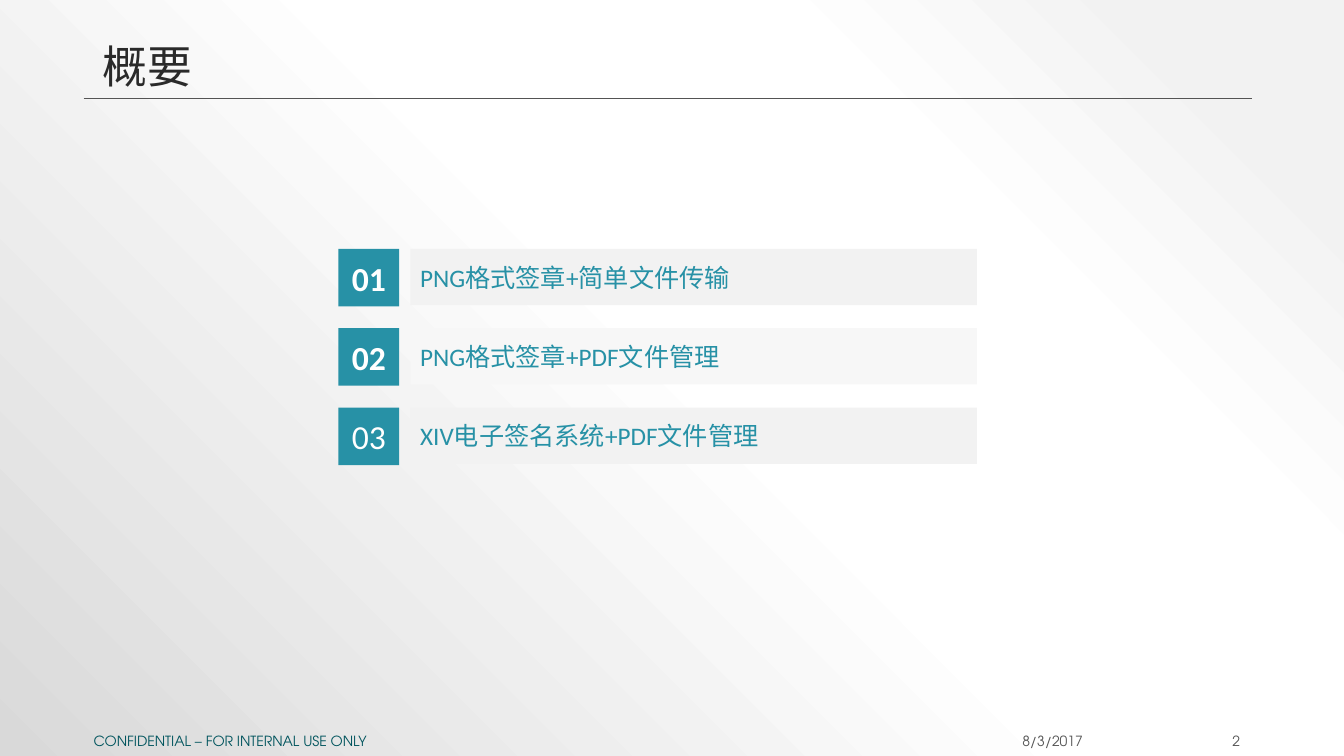
from collections import namedtuple
from dataclasses import dataclass

from pptx import Presentation
from pptx.dml.color import RGBColor
from pptx.enum.shapes import MSO_CONNECTOR, MSO_SHAPE
from pptx.enum.text import MSO_ANCHOR as Anchor, PP_ALIGN as Align
from pptx.oxml import parse_xml
from pptx.oxml.ns import nsdecls, qn
from pptx.util import Cm, Pt

Box = namedtuple("Box", "left top width height")


@dataclass(frozen=True)
class Theme:
    ink: str = "2A2A2A"
    grey: str = "545454"
    teal: str = "2791A6"
    deep_teal: str = "00545D"
    white: str = "FFFFFF"
    bar: str = "F2F2F2"
    pale_bar: str = "F7F7F7"
    backdrop: tuple = ((10, "F2F2F2"), (28, "FFFFFF"), (48, "FFFFFF"), (100, "D9D9D9"))
    body_font: str = "Calibri"
    footer_font: str = "TeX Gyre Adventor"
    title_size: int = 32
    number_size: int = 24
    item_size: int = 18
    footer_size: int = 10


THEME = Theme()

# Number, text, bar colour, bold number
AGENDA = [
    ("01", "PNG格式签章+简单文件传输", THEME.bar, True),
    ("02", "PNG格式签章+PDF文件管理", THEME.pale_bar, True),
    ("03", "XIV电子签名系统+PDF文件管理", THEME.bar, False),
]


def place(box):
    return [Cm(length) for length in box]


def write(shape, text, color, size, font=THEME.body_font, bold=False,
          align=Align.LEFT, anchor=Anchor.MIDDLE, wrap=True, spacing=1.0):
    frame = shape.text_frame
    frame.word_wrap = wrap
    frame.vertical_anchor = anchor
    para = frame.paragraphs[0]
    para.alignment = align
    para.line_spacing = spacing
    span = para.add_run()
    span.text = text
    for name, value in {"name": font, "size": Pt(size), "bold": bold}.items():
        setattr(span.font, name, value)
    span.font.color.rgb = RGBColor.from_string(color)


def add_label(page, box, text, color, size, **formats):
    write(page.shapes.add_textbox(*place(box)), text, color, size, **formats)


def add_block(page, box, fill, text, color, size, **formats):
    block = page.shapes.add_shape(MSO_SHAPE.RECTANGLE, *place(box))
    block.shadow.inherit = False
    block.fill.solid()
    block.fill.fore_color.rgb = RGBColor.from_string(fill)
    block.line.fill.background()
    write(block, text, color, size, **formats)


def paint_background(page):
    """Radial gradient centred on the top right corner."""
    stops = "".join(
        f'<a:gs pos="{percent * 1000}"><a:srgbClr val="{color}"/></a:gs>'
        for percent, color in THEME.backdrop)
    background = parse_xml(
        f'<p:bg {nsdecls("p", "a")}><p:bgPr><a:gradFill rotWithShape="1">'
        f'<a:gsLst>{stops}</a:gsLst><a:path path="circle">'
        '<a:fillToRect l="100000" t="0" r="0" b="100000"/></a:path>'
        '</a:gradFill><a:effectLst/></p:bgPr></p:bg>')
    page.element.find(qn("p:cSld")).insert(0, background)


def add_header(page, box, title):
    # Rule along the bottom edge
    bottom = box.top + box.height
    rule = page.shapes.add_connector(
        MSO_CONNECTOR.STRAIGHT, Cm(box.left), Cm(bottom),
        Cm(box.left + box.width), Cm(bottom))
    rule.line.color.rgb = RGBColor.from_string(THEME.grey)
    rule.line.width = Pt(0.5)
    rule.element.spPr.append(parse_xml(f'<a:effectLst {nsdecls("a")}/>'))
    # Title standing on the rule
    indent = 0.23
    add_label(page, Box(box.left + indent, box.top, box.width - indent, box.height),
              title, THEME.ink, THEME.title_size, anchor=Anchor.BOTTOM, spacing=0.9)


def add_agenda(page, box, items):
    badge_width, badge_height, bar_height, gap = 1.53, 1.45, 1.42, 0.28
    bar_left = box.left + badge_width + gap
    pitch = (box.height - badge_height) / (len(items) - 1)
    for index, (number, text, fill, bold) in enumerate(items):
        top = box.top + index * pitch
        add_block(page, Box(bar_left, top, box.left + box.width - bar_left, bar_height),
                  fill, text, THEME.teal, THEME.item_size)
        add_block(page, Box(box.left, top, badge_width, badge_height),
                  THEME.teal, number, THEME.white, THEME.number_size,
                  bold=bold, align=Align.CENTER, wrap=False)


def add_footer(page, box, notice, date, number):
    # Offset from the left edge, width, text, colour, alignment
    parts = [
        (0, 21.08, notice, THEME.deep_teal, Align.LEFT),
        (21.54, 3.89, date, THEME.grey, Align.RIGHT),
        (26.21, 3.18, number, THEME.grey, Align.RIGHT),
    ]
    for offset, width, text, color, align in parts:
        add_label(page, Box(box.left + offset, box.top, width, box.height), text,
                  color, THEME.footer_size, font=THEME.footer_font, align=align)


def main():
    deck = Presentation()
    deck.slide_width, deck.slide_height = Cm(33.87), Cm(19.05)
    page = deck.slides.add_slide(deck.slide_layouts[6])
    paint_background(page)
    add_header(page, Box(2.11, 0.51, 29.43, 1.97), "概要")
    add_agenda(page, Box(8.53, 6.27, 16.09, 5.45), AGENDA)
    add_footer(page, Box(2.11, 18.42, 29.39, 0.51),
               "CONFIDENTIAL – FOR INTERNAL USE ONLY", "8/3/2017", "2")
    deck.save("out.pptx")


if __name__ == "__main__":
    main()
